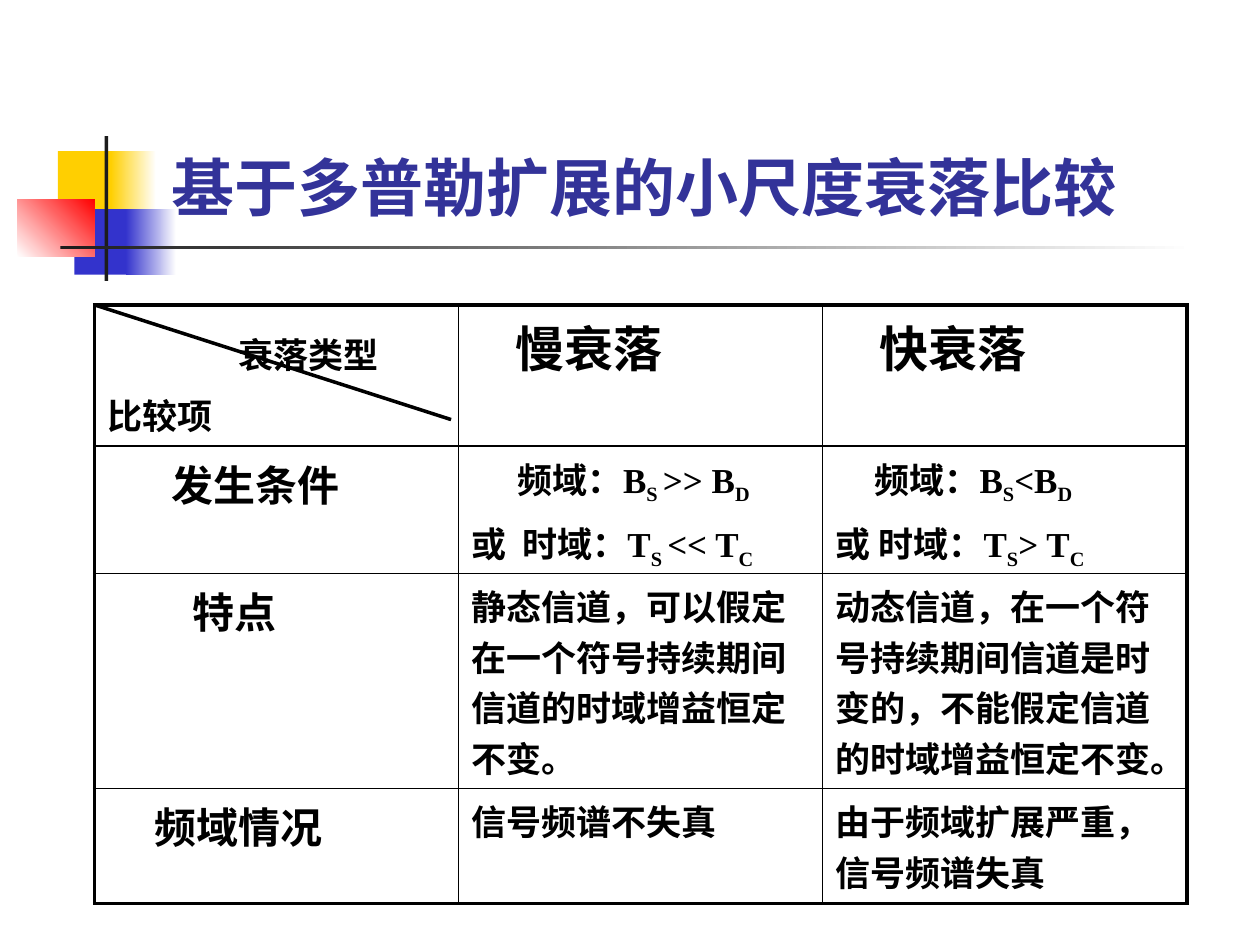
from lxml.etree import SubElement
from pptx import Presentation
from pptx.dml.color import RGBColor
from pptx.enum.shapes import MSO_CONNECTOR, MSO_SHAPE
from pptx.enum.text import MSO_ANCHOR
from pptx.oxml.ns import qn
from pptx.util import Inches, Pt

BLACK, WHITE, DARK = "000000", "FFFFFF", "1C1C1C"
YELLOW, BLUE, RED = "FFCF01", "3333CC", "FF0000"
HEADING_FONT, BODY_FONT = "Cabin", "Times New Roman"

TITLE = "基于多普勒扩展的小尺度衰落比较"

# left, top, width, height, colours (two make a gradient), gradient angle
DECORATIONS = [
    (0.46, 1.2, 0.48, 0.52, [YELLOW], 0),
    (0.88, 1.2, 0.36, 0.52, [YELLOW, WHITE], 0),
    (0.59, 1.66, 0.46, 0.52, [BLUE], 0),
    (1, 1.66, 0.4, 0.52, [BLUE, WHITE], 0),
    (0.14, 1.58, 0.61, 0.46, [WHITE, RED], 45),
    (0.83, 1.08, 0.03, 1.15, [DARK], 0),
    (0.48, 1.95, 9, 0.03, [DARK, WHITE], 0),
]

# Each cell: text size, font, paragraphs; each paragraph: first-line indent, runs.
# Every second run is a subscript.
ROWS = [
    [(20, HEADING_FONT, [(1.04, ["衰落类型"]), (0, ["比较项"])]),
     (28, HEADING_FONT, [(0.35, ["慢衰落"])]),
     (28, HEADING_FONT, [(0.35, ["快衰落"])])],
    [(24, BODY_FONT, [(0.51, ["发生条件"])]),
     (20, BODY_FONT, [(0.37, ["频域：B", "S ", ">> B", "D"]),
                      (0, ["或  时域：T", "S ", "<< T", "C"])]),
     (20, BODY_FONT, [(0.31, ["频域：B", "S", "<B", "D"]),
                      (0, ["或 时域：T", "S", "> T", "C"])])],
    [(24, BODY_FONT, [(0.68, ["特点"])]),
     (20, BODY_FONT, [(0, ["静态信道，可以假定在一个符号持续期间信道的时域增益恒定不变。"])]),
     (20, BODY_FONT, [(0, ["动态信道，在一个符号持续期间信道是时变的，不能假定信道的时域增益恒定不变。"])])],
    [(24, HEADING_FONT, [(0.38, ["频域情况"])]),
     (20, HEADING_FONT, [(0, ["信号频谱不失真"])]),
     (20, HEADING_FONT, [(0, ["由于频域扩展严重，信号频谱失真"])])],
]
TABLE_LEFT, TABLE_TOP, COLUMN_WIDTH = 0.75, 2.42, 2.89
ROW_HEIGHTS = [1.12, 1.01, 1.71, 0.91]
CORNER_MARGIN = 0.18
THICK, THIN = 2.25, 1


def color(value):
    return RGBColor.from_string(value)


def add_run(paragraph, text, size, font, text_color, subscript=False):
    run = paragraph.add_run()
    run.text = text
    run.font.size, run.font.bold, run.font.name = Pt(size), True, font
    run.font.color.rgb = color(text_color)
    if subscript:
        run.font._element.set("baseline", "-25000")


def add_decoration(slide, left, top, width, height, colors, angle):
    shape = slide.shapes.add_shape(
        MSO_SHAPE.RECTANGLE, *map(Inches, (left, top, width, height)))
    shape.shadow.inherit = False
    shape.line.fill.background()
    if len(colors) == 1:
        shape.fill.solid()
        shape.fill.fore_color.rgb = color(colors[0])
        return
    shape.fill.gradient()
    shape.fill.gradient_angle = angle
    for stop, value in zip(shape.fill.gradient_stops, colors):
        stop.color.rgb = color(value)


def add_title(slide):
    box = slide.shapes.add_textbox(*map(Inches, (1.26, 0.23, 8.52, 1.6)))
    frame = box.text_frame
    frame.word_wrap = True
    frame.vertical_anchor = MSO_ANCHOR.BOTTOM
    add_run(frame.paragraphs[0], TITLE, 36, HEADING_FONT, "333399")


def set_borders(cell, widths):
    """Draw black left, right, top and bottom borders, widths in points."""
    properties = cell._tc.get_or_add_tcPr()
    for side, width in zip("LRTB", widths):
        line = SubElement(properties, qn(f"a:ln{side}"), w=str(Pt(width)))
        fill = SubElement(line, qn("a:solidFill"))
        SubElement(fill, qn("a:srgbClr"), val=BLACK)


def fill_cell(cell, size, font, paragraphs):
    frame = cell.text_frame
    for index, (indent, runs) in enumerate(paragraphs):
        paragraph = frame.add_paragraph() if index else frame.paragraphs[0]
        paragraph.space_before = Pt(6 if index else 0)
        properties = paragraph._p.get_or_add_pPr()
        properties.set("marL", "0")
        properties.set("indent", str(Inches(indent)))
        for number, text in enumerate(runs):
            add_run(paragraph, text, size, font, BLACK, number % 2 == 1)


def add_comparison_table(slide):
    row_count, column_count = len(ROWS), len(ROWS[0])
    table = slide.shapes.add_table(
        row_count, column_count, Inches(TABLE_LEFT), Inches(TABLE_TOP),
        Inches(COLUMN_WIDTH * column_count), Inches(sum(ROW_HEIGHTS))).table
    table.first_row = table.horz_banding = False
    for column in table.columns:
        column.width = Inches(COLUMN_WIDTH)
    for r, (height, contents) in enumerate(zip(ROW_HEIGHTS, ROWS)):
        table.rows[r].height = Inches(height)
        for c, content in enumerate(contents):
            cell = table.cell(r, c)
            outer = (c == 0, c == column_count - 1, r == 0, r == row_count - 1)
            set_borders(cell, [THICK if edge else THIN for edge in outer])
            cell.fill.background()
            fill_cell(cell, *content)
    table.cell(0, 0).margin_top = Inches(CORNER_MARGIN)


def add_corner_diagonal(slide):
    line = slide.shapes.add_connector(
        MSO_CONNECTOR.STRAIGHT, Inches(TABLE_LEFT), Inches(TABLE_TOP),
        Inches(3.58), Inches(3.33))
    line.line.color.rgb = color(BLACK)
    line.line.width = Pt(2)
    SubElement(line._element.spPr, qn("a:effectLst"))


def main():
    presentation = Presentation()
    presentation.slide_width, presentation.slide_height = Inches(10), Inches(7.5)
    slide = presentation.slides.add_slide(presentation.slide_layouts[6])
    for decoration in DECORATIONS:
        add_decoration(slide, *decoration)
    add_title(slide)
    add_comparison_table(slide)
    add_corner_diagonal(slide)
    presentation.save("out.pptx")


if __name__ == "__main__":
    main()
